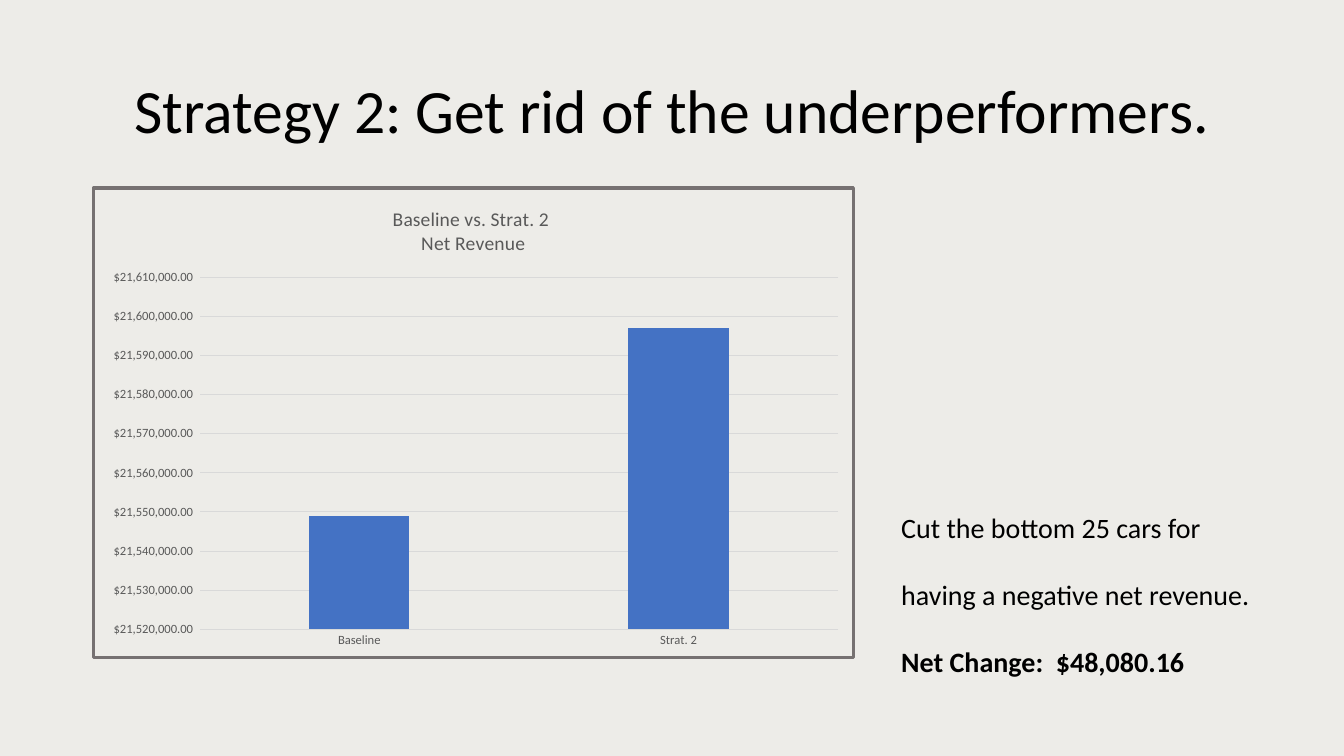
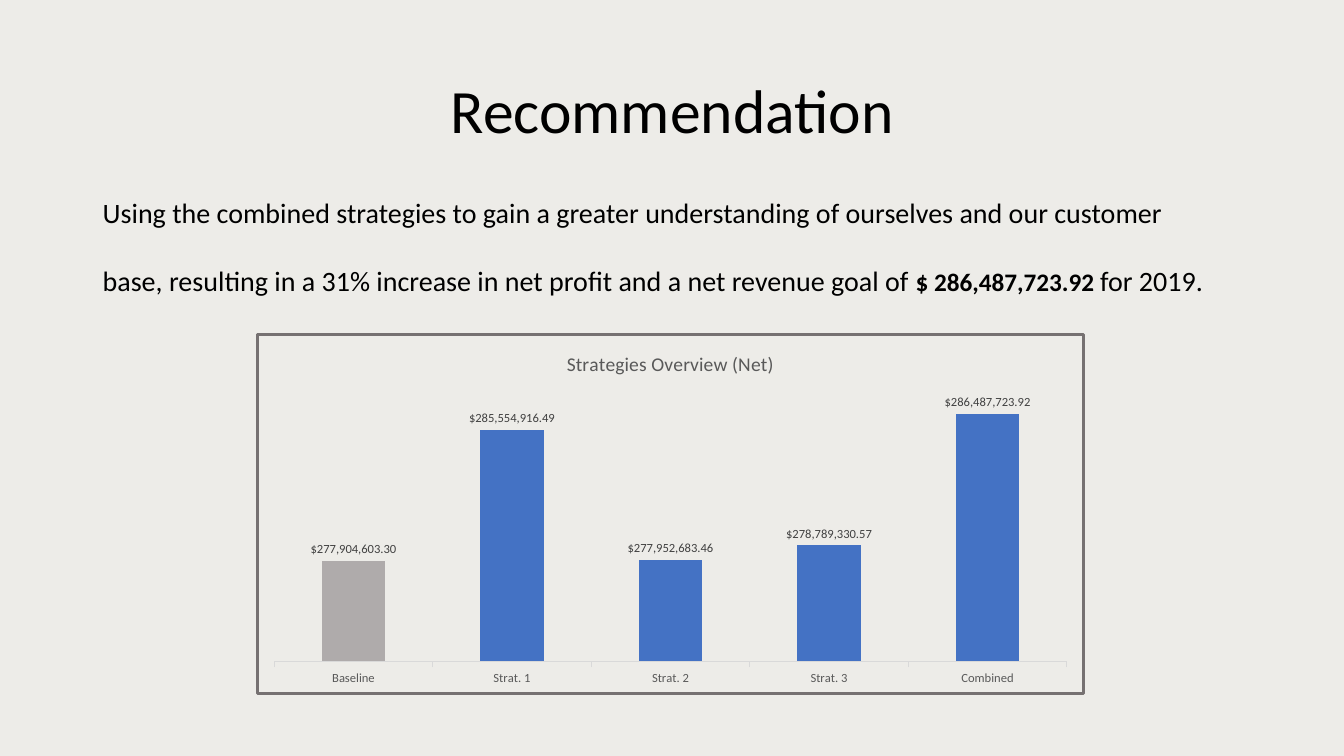
from pptx import Presentation
from pptx.chart.data import CategoryChartData
from pptx.dml.color import RGBColor
from pptx.enum.chart import XL_CHART_TYPE as ChartType, XL_LABEL_POSITION as LabelPosition
from pptx.enum.chart import XL_TICK_MARK as TickMark
from pptx.enum.text import MSO_ANCHOR as Anchor, MSO_AUTO_SIZE as AutoSize, PP_ALIGN as Align
from pptx.oxml import parse_xml
from pptx.oxml.ns import nsdecls, qn
from pptx.util import Inches, Pt

FONT = "Calibri"
MONEY = '"$"#,##0.00'
AXIS_MONEY = MONEY + "_)"
COLORS = {
    "background": "EDECE8",
    "text": "000000",
    "chart_text": "595959",
    "label": "404040",
    "line": "D9D9D9",
    "border": "767171",
    "bar": "4472C4",
    "baseline": "AFABAB",
}


def color(name):
    """Return the named colour."""
    return RGBColor.from_string(COLORS[name])


def format_font(font, size, color_name="text", bold=False):
    """Apply the shared typeface with a size, colour and weight."""
    font.name = FONT
    font.size = Pt(size)
    font.bold = bold
    font.color.rgb = color(color_name)


def add_text(paragraph, text, size=20, color_name="text", bold=False, align=None, spacing=None):
    """Append a formatted run to a paragraph."""
    run = paragraph.add_run()
    run.text = text
    format_font(run.font, size, color_name, bold)
    if align is not None:
        paragraph.alignment = align
    if spacing is not None:
        paragraph.line_spacing = spacing


def add_slide(presentation, title):
    """Add a slide with the shared title style."""
    slide = presentation.slides.add_slide(presentation.slide_layouts[5])
    shape = slide.shapes.title
    shape.left, shape.top = Inches(0.92), Inches(0.4)
    shape.width, shape.height = Inches(11.5), Inches(1.45)
    shape.text_frame.vertical_anchor = Anchor.MIDDLE
    add_text(shape.text_frame.paragraphs[0], title, size=44, align=Align.CENTER, spacing=0.9)
    return slide


def add_body(slide, box, paragraphs):
    """Add a double-spaced text box from lists of (text, format) runs."""
    frame = slide.shapes.add_textbox(*map(Inches, box)).text_frame
    frame.word_wrap = True
    frame.auto_size = AutoSize.SHAPE_TO_FIT_TEXT
    for index, runs in enumerate(paragraphs):
        paragraph = frame.add_paragraph() if index else frame.paragraphs[0]
        for text, options in runs:
            add_text(paragraph, text, spacing=2.0, **options)


def frame_chart(chart, plot_box):
    """Draw the chart border and place the inner plot by fractions."""
    chart_element = chart.element.find(qn("c:chart"))
    chart_element.addnext(parse_xml(
        f'<c:spPr {nsdecls("c", "a")}><a:noFill/><a:ln w="{Pt(2.25)}"><a:solidFill>'
        f'<a:srgbClr val="{COLORS["border"]}"/></a:solidFill></a:ln></c:spPr>'))
    plot_area = chart_element.find(qn("c:plotArea"))
    for layout in plot_area.findall(qn("c:layout")):
        plot_area.remove(layout)
    places = "".join(f'<c:{key} val="{value}"/>' for key, value in zip("xywh", plot_box))
    plot_area.insert(0, parse_xml(
        f'<c:layout {nsdecls("c")}><c:manualLayout><c:layoutTarget val="inner"/>'
        f'<c:xMode val="edge"/><c:yMode val="edge"/>{places}</c:manualLayout></c:layout>'))


def add_column_chart(slide, box, title_lines, values, limits, gap, plot_box, tick=TickMark.NONE):
    """Add a bordered column chart with the shared styling and return it."""
    data = CategoryChartData(number_format=MONEY)
    data.categories = list(values)
    data.add_series("Series 1", list(values.values()))
    chart = slide.shapes.add_chart(ChartType.COLUMN_CLUSTERED, *map(Inches, box), data).chart
    format_font(chart.font, 10)
    chart.has_legend = False
    title_frame = chart.chart_title.text_frame
    chart.chart_title.include_in_layout = False
    for index, line in enumerate(title_lines):
        paragraph = title_frame.add_paragraph() if index else title_frame.paragraphs[0]
        add_text(paragraph, line, size=14, color_name="chart_text", align=Align.CENTER)

    plot = chart.plots[0]
    plot.vary_by_categories = False
    plot.gap_width = gap
    fill = plot.series[0].format.fill
    fill.solid()
    fill.fore_color.rgb = color("bar")

    category_axis, value_axis = chart.category_axis, chart.value_axis
    for axis, mark in ((category_axis, tick), (value_axis, TickMark.NONE)):
        axis.major_tick_mark = mark
        axis.minor_tick_mark = TickMark.NONE
        format_font(axis.tick_labels.font, 9, "chart_text")
    value_axis.minimum_scale, value_axis.maximum_scale = limits
    value_axis.tick_labels.number_format = AXIS_MONEY
    value_axis.tick_labels.number_format_is_linked = False
    value_axis.format.line.fill.background()
    for line in (category_axis.format.line, value_axis.major_gridlines.format.line):
        line.color.rgb = color("line")
        line.width = Pt(0.75)
    frame_chart(chart, plot_box)
    return chart


def label_columns(chart):
    """Show values above the columns in place of the value axis."""
    chart.value_axis.has_major_gridlines = False
    chart.value_axis.visible = False
    labels = chart.plots[0].series[0].data_labels
    labels.show_value = True
    labels.position = LabelPosition.OUTSIDE_END
    labels.number_format = MONEY
    labels.number_format_is_linked = False
    format_font(labels.font, 9, "label")


def add_strategy_slide(presentation):
    """Add the slide on cutting underperforming cars."""
    slide = add_slide(presentation, "Strategy 2: Get rid of the underperformers.")
    add_body(slide, (8.84, 4.68, 3.8, 2.03), [
        [("Cut the bottom 25 cars for having a negative net revenue.", {})],
        [("Net Change:  $48,080.16", {"bold": True})],
    ])
    chart = add_column_chart(
        slide, (0.91, 1.85, 7.57, 4.69), ["Baseline vs. Strat. 2 ", "Net Revenue"],
        {"Baseline": 21549000, "Strat. 2": 21597000},
        limits=(21520000, 21610000), gap=219, plot_box=(0.14, 0.19, 0.84, 0.75))
    chart.plots[0].overlap = -27
    chart.value_axis.major_unit = 10000


def add_recommendation_slide(presentation):
    """Add the slide on the combined strategies."""
    slide = add_slide(presentation, "Recommendation")
    add_body(slide, (0.92, 1.56, 11.33, 1.35), [[
        ("Using the combined strategies to gain a greater understanding of ourselves and our "
         "customer base, resulting in a 31% increase in net profit and a net revenue goal of ", {}),
        ("$ 286,487,723.92 ", {"size": 18, "bold": True}),
        ("for 2019.", {}),
    ]])
    values = {
        "Baseline": 277904603.30,
        "Strat. 1": 285554916.49,
        "Strat. 2": 277952683.46,
        "Strat. 3": 278789330.57,
        "Combined": 286487723.92,
    }
    chart = add_column_chart(
        slide, (2.54, 3.3, 8.22, 3.6), ["Strategies Overview (Net)"], values,
        limits=(272000000, 288000000), gap=150, plot_box=(0.02, 0.15, 0.96, 0.76),
        tick=TickMark.OUTSIDE)
    label_columns(chart)
    baseline_fill = chart.plots[0].series[0].points[0].format.fill
    baseline_fill.solid()
    baseline_fill.fore_color.rgb = color("baseline")


def main():
    """Build and save the presentation."""
    presentation = Presentation()
    presentation.slide_width, presentation.slide_height = Inches(13.33), Inches(7.5)
    background = presentation.slide_master.background.fill
    background.solid()
    background.fore_color.rgb = color("background")
    add_strategy_slide(presentation)
    add_recommendation_slide(presentation)
    presentation.save("out.pptx")


if __name__ == "__main__":
    main()
